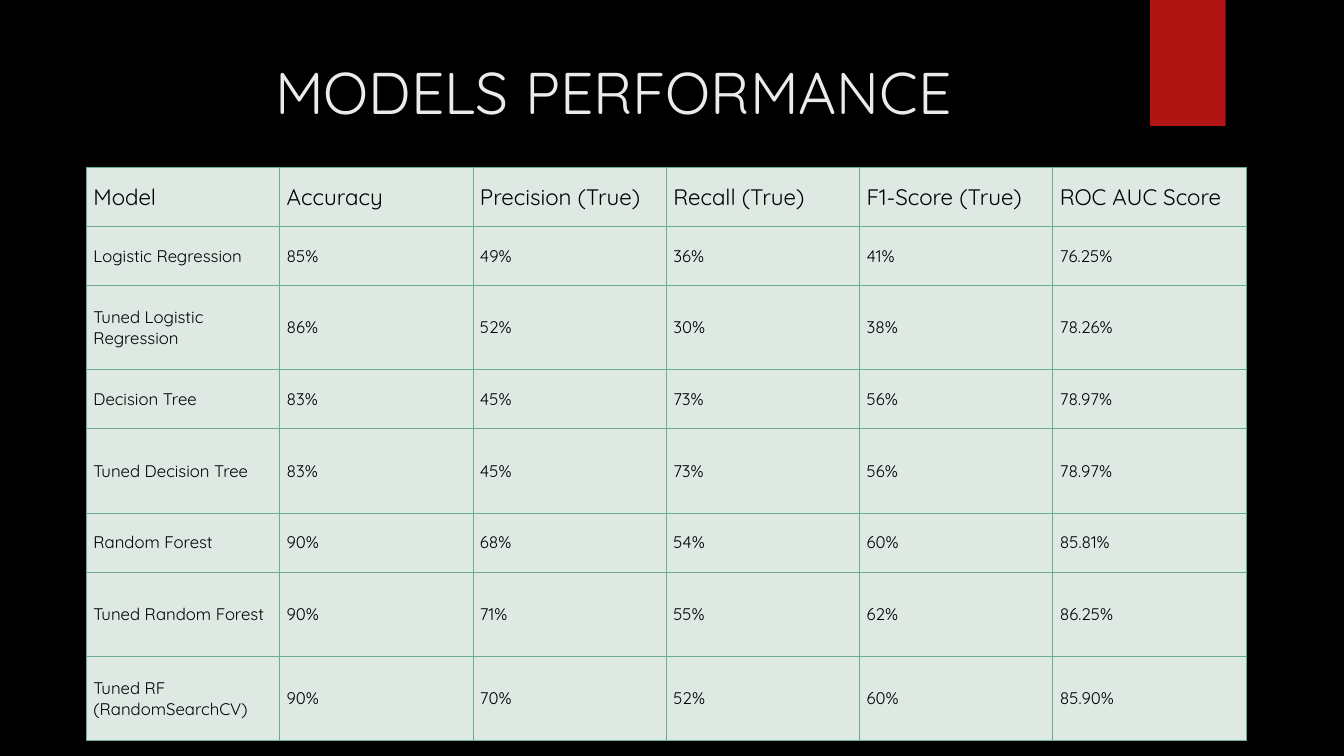
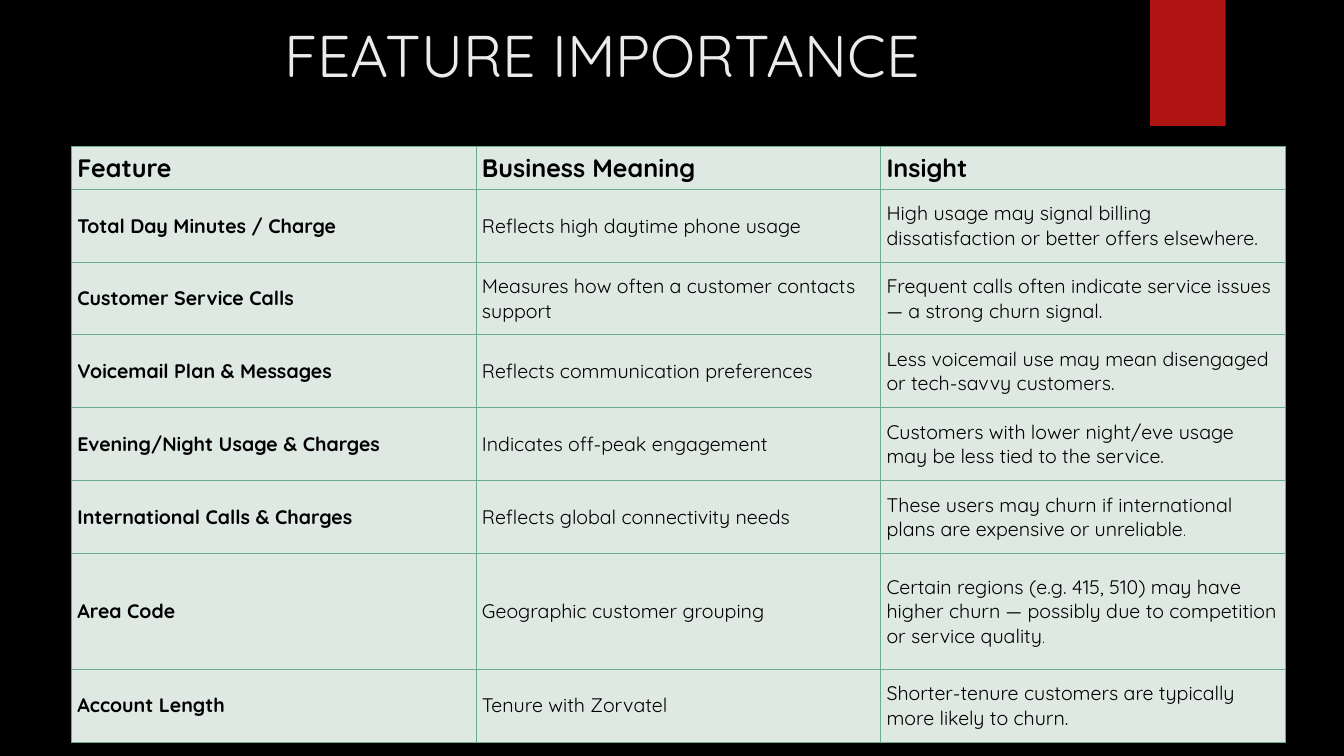
from dataclasses import dataclass
from typing import Tuple, Union

from lxml import etree
from pptx import Presentation
from pptx.dml.color import RGBColor
from pptx.enum.shapes import MSO_SHAPE
from pptx.enum.text import MSO_ANCHOR, MSO_AUTO_SIZE, PP_ALIGN
from pptx.oxml.ns import qn
from pptx.util import Pt

RECTANGLE = MSO_SHAPE.RECTANGLE
TOP = MSO_ANCHOR.TOP
MIDDLE = MSO_ANCHOR.MIDDLE
NO_AUTOFIT = MSO_AUTO_SIZE.NONE
LEFT = PP_ALIGN.LEFT

FONT = "Quicksand"
BLACK = "000000"
RED = "B01513"
OFF_WHITE = "EBEBEB"
MINT = "DDE9E2"
GREEN = "6AAC90"
TITLE_ONLY = 5
TITLE_SIZE = 42
FULL_STOP_SIZE = 10
BORDER_WIDTH = 0.75

CellText = Union[str, Tuple[str, str]]


@dataclass(frozen=True)
class Box:
    left: float
    top: float
    width: float
    height: float


@dataclass(frozen=True)
class Grid:
    left: float
    top: float
    column_width: float
    row_heights: Tuple[float, ...]
    side_margin: float
    header_size: float
    body_size: float
    bold_labels: bool
    rows: Tuple[Tuple[CellText, ...], ...]


@dataclass(frozen=True)
class TablePage:
    title: str
    title_box: Box
    grid: Grid


RIBBON = Box(821.5, 0, 54, 90)
SINGLE, DOUBLE = 42.2, 60.2
HEADER, TWO_LINES, THREE_LINES = 30.5, 52, 82.8

PAGES = (
    TablePage(
        "MODELS PERFORMANCE",
        Box(189.4, 36, 514, 67.7),
        Grid(
            61.7, 119.5, 138.1,
            (SINGLE, SINGLE, DOUBLE, SINGLE, DOUBLE, SINGLE, DOUBLE, DOUBLE),
            5, 16, 12, False,
            (
                ("Model", "Accuracy", "Precision (True)", "Recall (True)",
                 "F1-Score (True)", "ROC AUC Score"),
                ("Logistic Regression", "85%", "49%", "36%", "41%", "76.25%"),
                ("Tuned Logistic Regression", "86%", "52%", "30%", "38%", "78.26%"),
                ("Decision Tree", "83%", "45%", "73%", "56%", "78.97%"),
                ("Tuned Decision Tree", "83%", "45%", "73%", "56%", "78.97%"),
                ("Random Forest", "90%", "68%", "54%", "60%", "85.81%"),
                ("Tuned Random Forest", "90%", "71%", "55%", "62%", "86.25%"),
                ("Tuned RF (RandomSearchCV)", "90%", "70%", "52%", "60%", "85.90%"),
            ),
        ),
    ),
    TablePage(
        "FEATURE IMPORTANCE",
        Box(195.8, 10, 595.4, 83.5),
        Grid(
            51, 104.8, 289,
            (HEADER,) + (TWO_LINES,) * 5 + (THREE_LINES, TWO_LINES),
            4.3, 18, 14, True,
            (
                ("Feature", "Business Meaning", "Insight"),
                ("Total Day Minutes / Charge", "Reflects high daytime phone usage",
                 "High usage may signal billing dissatisfaction or better offers elsewhere."),
                ("Customer Service Calls", "Measures how often a customer contacts support",
                 "Frequent calls often indicate service issues — a strong churn signal."),
                ("Voicemail Plan & Messages", "Reflects communication preferences",
                 "Less voicemail use may mean disengaged or tech-savvy customers."),
                ("Evening/Night Usage & Charges", "Indicates off-peak engagement",
                 "Customers with lower night/eve usage may be less tied to the service."),
                ("International Calls & Charges", "Reflects global connectivity needs",
                 ("These users may churn if international plans are expensive or unreliable", ".")),
                ("Area Code", "Geographic customer grouping",
                 ("Certain regions (e.g. 415, 510) may have higher churn — possibly due to "
                  "competition or service quality", ".")),
                ("Account Length", "Tenure with Zorvatel",
                 "Shorter-tenure customers are typically more likely to churn."),
            ),
        ),
    ),
)


def colour(value: str) -> RGBColor:
    return RGBColor.from_string(value)


def add_span(para, text: str, size: float, shade: str, bold: bool = False) -> None:
    span = para.add_run()
    span.text = text
    span.font.name = FONT
    span.font.size = Pt(size)
    span.font.bold = bold
    span.font.color.rgb = colour(shade)


def add_ribbon(page) -> None:
    ribbon = page.shapes.add_shape(
        RECTANGLE, Pt(RIBBON.left), Pt(RIBBON.top), Pt(RIBBON.width), Pt(RIBBON.height))
    ribbon.shadow.inherit = False
    ribbon.fill.solid()
    ribbon.fill.fore_color.rgb = colour(RED)
    ribbon.line.fill.background()


def set_title(page, text: str, box: Box) -> None:
    title = page.shapes.title
    title.left, title.top = Pt(box.left), Pt(box.top)
    title.width, title.height = Pt(box.width), Pt(box.height)
    frame = title.text_frame
    frame.word_wrap = True
    frame.auto_size = NO_AUTOFIT
    frame.vertical_anchor = TOP
    para = frame.paragraphs[0]
    para.alignment = LEFT
    add_span(para, text, TITLE_SIZE, OFF_WHITE)


def add_borders(cell) -> None:
    properties = cell._tc.get_or_add_tcPr()
    for side in ("a:lnL", "a:lnR", "a:lnT", "a:lnB"):
        line = etree.SubElement(properties, qn(side), w=str(Pt(BORDER_WIDTH)))
        fill = etree.SubElement(line, qn("a:solidFill"))
        etree.SubElement(fill, qn("a:srgbClr"), val=GREEN)


def fill_cell(cell, text: CellText, size: float, bold: bool, side_margin: float) -> None:
    add_borders(cell)
    cell.fill.solid()
    cell.fill.fore_color.rgb = colour(MINT)
    cell.vertical_anchor = MIDDLE
    cell.margin_left = cell.margin_right = Pt(side_margin)
    cell.margin_top = cell.margin_bottom = Pt(2.2)
    para = cell.text_frame.paragraphs[0]
    spans = (text,) if isinstance(text, str) else text
    for words, span_size in zip(spans, (size, FULL_STOP_SIZE)):
        add_span(para, words, span_size, BLACK, bold)


def add_grid(page, grid: Grid) -> None:
    column_count = len(grid.rows[0])
    table = page.shapes.add_table(
        len(grid.rows), column_count, Pt(grid.left), Pt(grid.top),
        Pt(grid.column_width * column_count), Pt(sum(grid.row_heights))).table
    table.horz_banding = False
    for column in table.columns:
        column.width = Pt(grid.column_width)
    for row_index, (height, texts) in enumerate(zip(grid.row_heights, grid.rows)):
        table.rows[row_index].height = Pt(height)
        is_header = row_index == 0
        size = grid.header_size if is_header else grid.body_size
        for column_index, text in enumerate(texts):
            bold = grid.bold_labels and (is_header or column_index == 0)
            fill_cell(table.cell(row_index, column_index), text, size, bold, grid.side_margin)


def main() -> None:
    deck = Presentation()
    deck.slide_width, deck.slide_height = Pt(960), Pt(540)
    background = deck.slide_master.background.fill
    background.solid()
    background.fore_color.rgb = colour(BLACK)
    for content in PAGES:
        page = deck.slides.add_slide(deck.slide_layouts[TITLE_ONLY])
        add_ribbon(page)
        set_title(page, content.title, content.title_box)
        add_grid(page, content.grid)
    deck.save("out.pptx")


if __name__ == "__main__":
    main()
